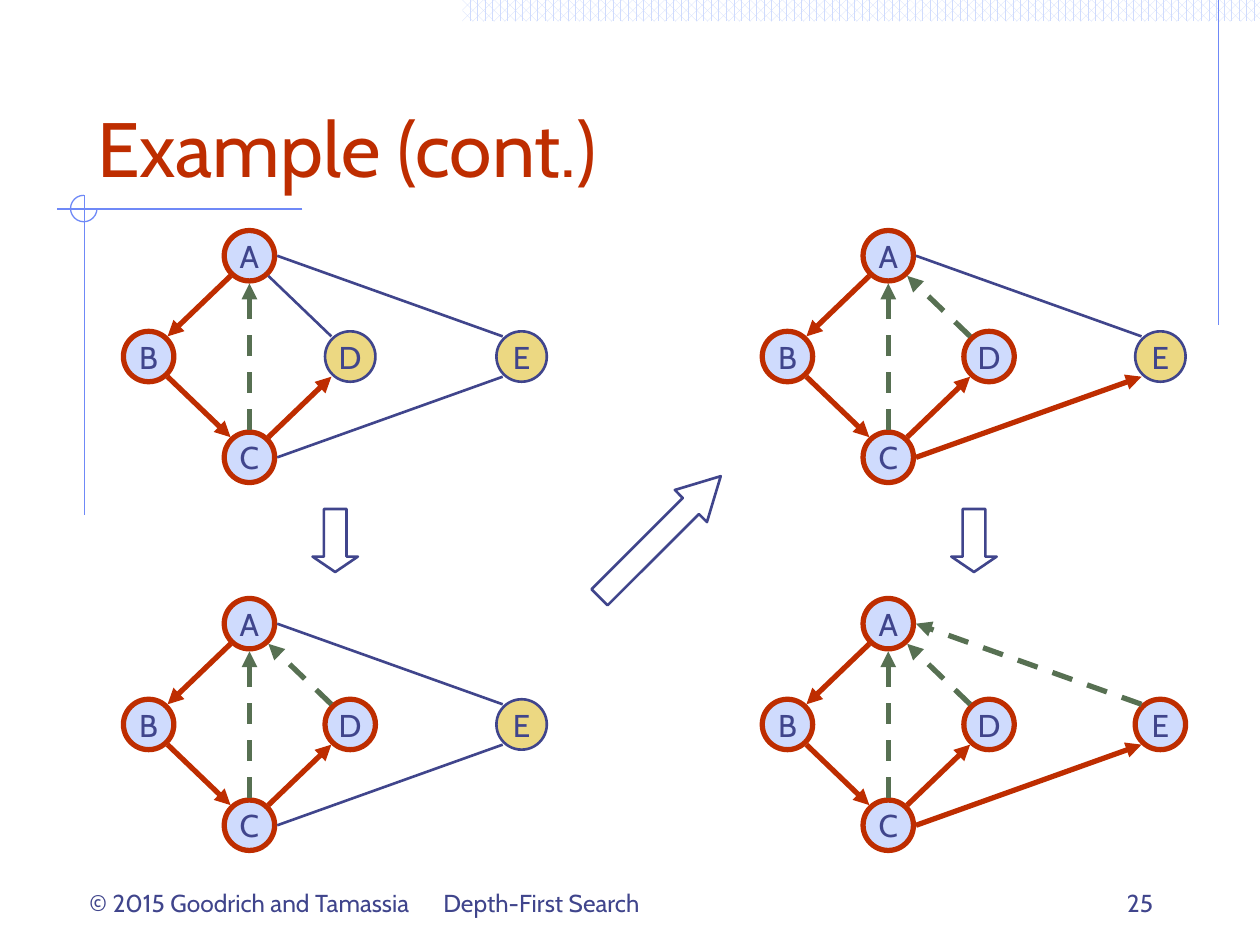
import pptx
import pptx.dml.color
import pptx.enum.dml
import pptx.enum.shapes
import pptx.enum.text
import pptx.oxml
import pptx.oxml.ns
import pptx.util

Inches = pptx.util.Inches
SHAPE = pptx.enum.shapes.MSO_SHAPE
ALIGN = pptx.enum.text.PP_ALIGN
ANCHOR = pptx.enum.text.MSO_ANCHOR

INK, RED, GREEN = "40458C", "BE2D00", "577052"
VISITED, UNVISITED = "CFDBFD", "ECD882"
RULE = "6F89F7"

NODE_SIZE = 0.4
# Node centres relative to node A
NODES = {"D": (0.8, 0.8), "B": (-0.8, 0.8), "A": (0, 0), "C": (0, 1.6), "E": (2.16, 0.8)}
# Where an edge leaves or meets a node, relative to its centre
PORTS = {
    "NW": (-0.15, -0.16), "NE": (0.15, -0.16),
    "SW": (-0.15, 0.16), "SE": (0.15, 0.16),
    "N": (0, -0.22), "S": (0, 0.22), "E": (0.22, 0),
}
EDGE_PORTS = {
    "AB": ("SW", "NE"), "BC": ("SE", "NW"), "CD": ("NE", "SW"), "DA": ("NW", "SE"),
    "CA": ("N", "S"), "CE": ("E", "SW"), "EA": ("NW", "E"),
}
EDGE_STYLES = {
    "unexplored": dict(color=INK, width=1.5),
    "discovery": dict(color=RED, width=3, arrow=True),
    "back": dict(color=GREEN, width=3, arrow=True, dashed=True),
}
COLUMNS, ROWS = (1.98, 7.05), (2.03, 4.95)


def rgb(color):
    return pptx.dml.color.RGBColor.from_string(color)


def write(frame, text, size=14, color=INK, align=ALIGN.LEFT, anchor=ANCHOR.BOTTOM, wrap=True):
    frame.text = text
    frame.word_wrap = wrap
    frame.auto_size = pptx.enum.text.MSO_AUTO_SIZE.NONE
    frame.vertical_anchor = anchor
    paragraph = frame.paragraphs[0]
    paragraph.alignment = align
    paragraph.font.size = pptx.util.Pt(size)
    paragraph.font.name = "Cabin"
    paragraph.font.color.rgb = rgb(color)


def add_label(slide, box, text, **text_format):
    label = slide.shapes.add_textbox(*map(Inches, box))
    write(label.text_frame, text, **text_format)


def add_outlined(slide, preset, box, color, width, fill=None):
    shape = slide.shapes.add_shape(preset, *map(Inches, box))
    shape.shadow.inherit = False
    if fill:
        shape.fill.solid()
        shape.fill.fore_color.rgb = rgb(fill)
    else:
        shape.fill.background()
    shape.line.color.rgb = rgb(color)
    shape.line.width = pptx.util.Pt(width)
    return shape


def add_line(slide, start, end, color, width, arrow=False, dashed=False):
    line = slide.shapes.add_connector(
        pptx.enum.shapes.MSO_CONNECTOR.STRAIGHT, *map(Inches, (*start, *end)))
    line.line.color.rgb = rgb(color)
    line.line.width = pptx.util.Pt(width)
    if dashed:
        line.line.dash_style = pptx.enum.dml.MSO_LINE.DASH
    if arrow:
        tail = pptx.oxml.parse_xml(
            f'<a:tailEnd {pptx.oxml.ns.nsdecls("a")} type="triangle"/>')
        line.line._get_or_add_ln().append(tail)
    line._element.spPr.append(
        pptx.oxml.parse_xml(f'<a:effectLst {pptx.oxml.ns.nsdecls("a")}/>'))


def add_decoration(slide):
    band = add_outlined(slide, SHAPE.RECTANGLE, (3.67, 0, 6.33, 0.17), RULE, 0.75)
    band.line.fill.background()
    band.fill.patterned()
    band.fill.pattern = pptx.enum.dml.MSO_PATTERN.PERCENT_60
    band.fill.fore_color.rgb = rgb(VISITED)
    band.fill.back_color.rgb = rgb("FFFFFF")
    for start, end in (((9.67, 0), (9.67, 2.58)),
                       ((2.4, 1.66), (0.45, 1.66)),
                       ((0.67, 1.55), (0.67, 4.09))):
        add_line(slide, start, end, RULE, 0.75)
    arc = add_outlined(slide, SHAPE.ARC, (0.56, 1.55, 0.21, 0.21), RULE, 0.75)
    arc.adjustments[0], arc.adjustments[1] = 0, 162  # 0 to 270 degrees


def add_graph(slide, origin, unvisited="", **edge_changes):
    """Draw one search step; edge_changes overrides the styles shared by all steps."""
    centers = {name: (origin[0] + dx, origin[1] + dy) for name, (dx, dy) in NODES.items()}
    for name, (x, y) in centers.items():
        is_open = name in unvisited
        node = add_outlined(
            slide, SHAPE.OVAL,
            (x - NODE_SIZE / 2, y - NODE_SIZE / 2, NODE_SIZE, NODE_SIZE),
            INK if is_open else RED, 1.5 if is_open else 3,
            UNVISITED if is_open else VISITED)
        write(node.text_frame, name, size=18, align=ALIGN.CENTER,
              anchor=ANCHOR.MIDDLE, wrap=False)

    styles = dict(AB="discovery", BC="discovery", CD="discovery", DA="back",
                  CA="back", CE="unexplored", EA="unexplored")
    styles.update(edge_changes)
    for edge, style in styles.items():
        start, end = (
            (centers[name][0] + PORTS[port][0], centers[name][1] + PORTS[port][1])
            for name, port in zip(edge, EDGE_PORTS[edge]))
        add_line(slide, start, end, **EDGE_STYLES[style])


def add_step_arrow(slide, box, rotation, head):
    arrow = add_outlined(slide, SHAPE.RIGHT_ARROW, box, INK, 1.5)
    arrow.rotation = rotation
    arrow.adjustments[0], arrow.adjustments[1] = 0.5, head


def main():
    deck = pptx.Presentation()
    deck.slide_width, deck.slide_height = Inches(10), Inches(7.5)
    slide = deck.slides.add_slide(deck.slide_layouts[5])

    add_decoration(slide)
    title = slide.shapes.title
    title.left, title.top, title.width, title.height = map(Inches, (0.67, 0.33, 8.5, 1.25))
    write(title.text_frame, "Example (cont.)", size=44, color=RED)

    add_label(slide, (0.51, 7, 2.94, 0.34), "© 2015 Goodrich and Tamassia",
              align=ALIGN.CENTER, anchor=ANCHOR.TOP, wrap=False)
    add_label(slide, (3.42, 6.83, 3.17, 0.5), "Depth-First Search")
    add_label(slide, (7.17, 6.83, 2.08, 0.5), "25", align=ALIGN.RIGHT)

    left, right = COLUMNS
    top, bottom = ROWS
    add_graph(slide, (left, top), unvisited="DE", DA="unexplored")
    add_graph(slide, (left, bottom), unvisited="E")
    add_graph(slide, (right, top), unvisited="E", CE="discovery")
    add_graph(slide, (right, bottom), CE="discovery", EA="back")

    for column in COLUMNS:
        add_step_arrow(slide, (column + 0.43, 4.11, 0.5, 0.36), 90, 0.34)
    add_step_arrow(slide, (4.56, 4.08, 1.36, 0.36), 315, 0.93)

    deck.save("out.pptx")


if __name__ == "__main__":
    main()
